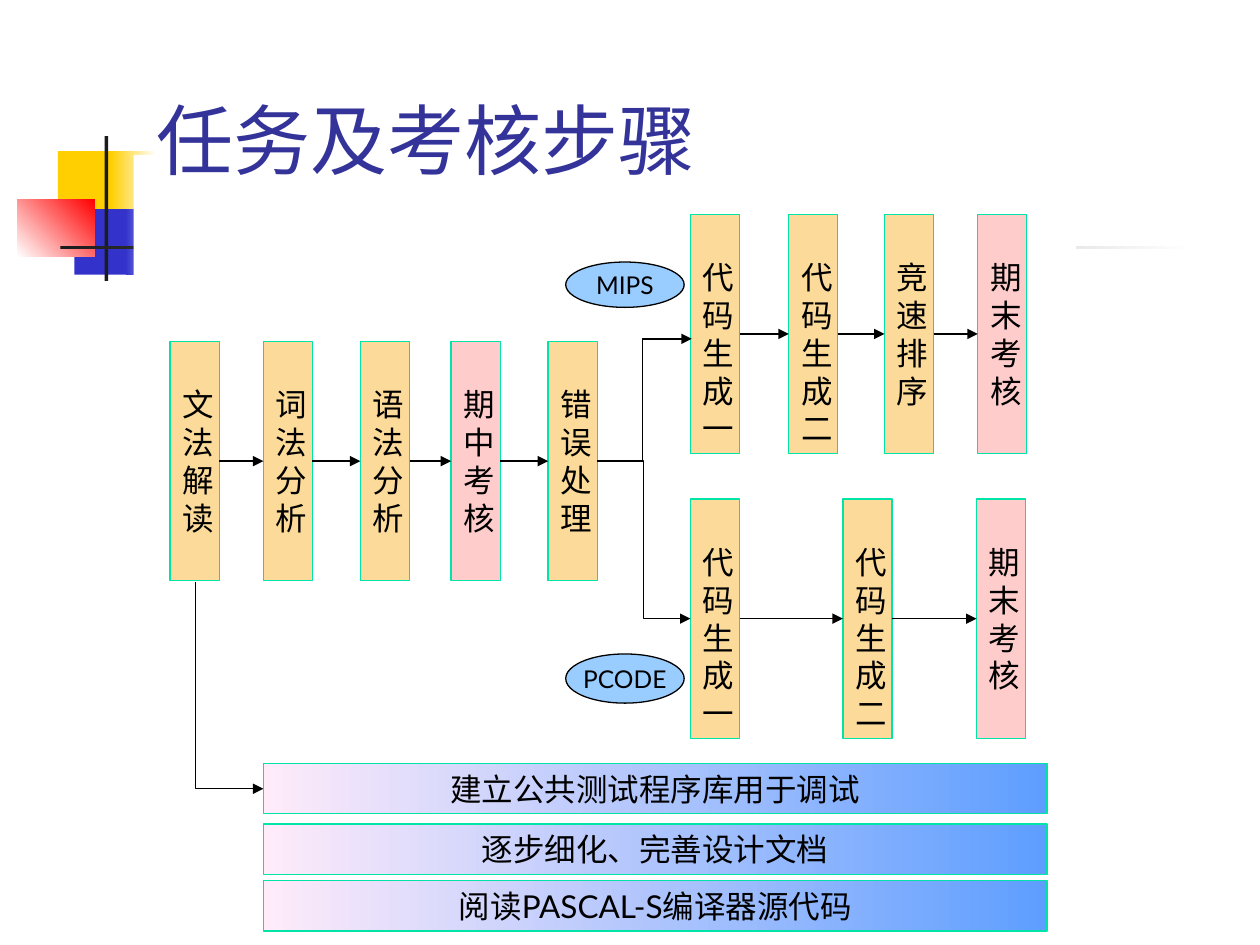
from lxml import etree
from pptx import Presentation
from pptx import util as u
from pptx.dml.color import RGBColor
from pptx.enum import shapes, text
from pptx.oxml.ns import qn

Inches, Pt, rgb = u.Inches, u.Pt, RGBColor.from_string
RECT, OVAL = shapes.MSO_SHAPE.RECTANGLE, shapes.MSO_SHAPE.OVAL

prs = Presentation()
prs.slide_width, prs.slide_height = Inches(10), Inches(7.5)
slide = prs.slides.add_slide(prs.slide_layouts[5])


def add_block(place, fill, line=None, words="", size=18, kind=RECT, angle=0, **frame_format):
    """Add a shape; a fill of two colours is a gradient."""
    block = slide.shapes.add_shape(kind, *map(Inches, place))
    block.shadow.inherit = False
    if isinstance(fill, str):
        block.fill.solid()
        block.fill.fore_color.rgb = rgb(fill)
    else:
        block.fill.gradient()
        block.fill.gradient_angle = angle
        for stop, colour in zip(block.fill.gradient_stops, fill):
            stop.color.rgb = rgb(colour)
    if line:
        block.line.color.rgb = rgb(line)
        block.line.width = Pt(0.75)
    else:
        block.line.fill.background()
    if words:
        frame = block.text_frame
        for name, value in frame_format.items():
            setattr(frame, name, value)
        paragraph = frame.paragraphs[0]
        paragraph.text = words
        paragraph.alignment = text.PP_ALIGN.CENTER
        paragraph.font.size, paragraph.font.name = Pt(size), "Lato"
        paragraph.font.color.rgb = rgb("000000")
    return block


def add_arrow(start, end, bend=None):
    """Add an arrow, with an elbow at the share `bend` of its width if given."""
    kind = shapes.MSO_CONNECTOR.STRAIGHT if bend is None else shapes.MSO_CONNECTOR.ELBOW
    arrow = slide.shapes.add_connector(kind, *map(Inches, start + end))
    arrow.line.color.rgb = rgb("000000")
    arrow.line.width = Pt(0.75)
    etree.SubElement(arrow.line._get_or_add_ln(), qn("a:tailEnd"), type="triangle")
    properties = arrow._element.spPr
    etree.SubElement(properties, qn("a:effectLst"))
    if bend is not None:
        guides = properties.find(qn("a:prstGeom")).get_or_add_avLst()
        etree.SubElement(guides, qn("a:gd"), name="adj1", fmla=f"val {round(bend * 100000)}")
    return arrow


# Corner decoration, then the white panel that covers part of it
for place, fill, angle in [
    ((0.46, 1.2, 0.48, 0.52), "FFCF01", 0),
    ((0.88, 1.2, 0.36, 0.52), ("FFCF01", "FFFFFF"), 0),
    ((0.59, 1.66, 0.46, 0.52), "3333CC", 0),
    ((1, 1.66, 0.4, 0.52), ("3333CC", "FFFFFF"), 0),
    ((0.14, 1.58, 0.61, 0.46), ("FFFFFF", "FF0000"), 45),
    ((0.83, 1.08, 0.03, 1.15), "1C1C1C", 0),
    ((0.48, 1.95, 9, 0.03), ("1C1C1C", "FFFFFF"), 0),
    ((1.06, 1.23, 7.48, 6.17), "FFFFFF", 0),
]:
    add_block(place, fill, angle=angle)

# Title, brought in front of the panel
title = slide.shapes.title
title.left, title.top, title.width, title.height = map(Inches, (1.14, 0.6, 8.52, 0.92))
title.text_frame.vertical_anchor = text.MSO_ANCHOR.BOTTOM
heading = title.text_frame.paragraphs[0]
heading.text = "任务及考核步骤"
heading.alignment = text.PP_ALIGN.LEFT
heading.font.size, heading.font.name = Pt(44), "Lato"
heading.font.color.rgb = rgb("333399")
slide.shapes._spTree.append(title._element)

# Three chains of steps, each step joined to the next; exams are pink
TASK, EXAM = "FCDB9A", "FFCCCC"
chains = [
    (2.71, [(1.35, "文法解读"), (2.09, "词法分析"), (2.86, "语法分析"),
            (3.58, "期中考核"), (4.35, "错误处理")]),
    (1.7, [(5.48, "代码生成一"), (6.26, "代码生成二"), (7.02, "竞速排序"), (7.76, "期末考核")]),
    (3.96, [(5.48, "代码生成一"), (6.69, "代码生成二"), (7.75, "期末考核")]),
]
ends = []
for top, steps in chains:
    previous = None
    for left, step in steps:
        box = add_block((left, top, 0.39, 1.9), EXAM if "考核" in step else TASK, "00E4A8", step,
                        vertical_anchor=text.MSO_ANCHOR.TOP, margin_top=Inches(0.35),
                        word_wrap=True)
        if previous:
            arrow = add_arrow((left - 0.3, top + 0.95), (left, top + 0.95))
            arrow.begin_connect(previous, 3)
            arrow.end_connect(box, 1)
        previous = box

# Branches to the two code targets, and from the first step to the bars
add_arrow((4.74, 3.66), (5.48, 4.91), 0.5)
add_arrow((5.1, 3.66), (5.49, 2.69), 0)
add_arrow((1.55, 4.62), (2.09, 6.26), 0)

for target, top, height in [("MIPS", 2.08, 0.36), ("PCODE", 5.19, 0.39)]:
    add_block((4.49, top, 0.94, height), "99CCFF", "000000", target, 14, OVAL,
              vertical_anchor=text.MSO_ANCHOR.MIDDLE, word_wrap=False)

for top, duty in [(6.06, "建立公共测试程序库用于调试"), (6.54, "逐步细化、完善设计文档"),
                  (6.99, "阅读PASCAL-S编译器源代码")]:
    add_block((2.09, top, 6.22, 0.4), ("FFEBFA", "5E9EFF"), "00E4A8", duty,
              vertical_anchor=text.MSO_ANCHOR.TOP, word_wrap=True)

prs.save("out.pptx")
